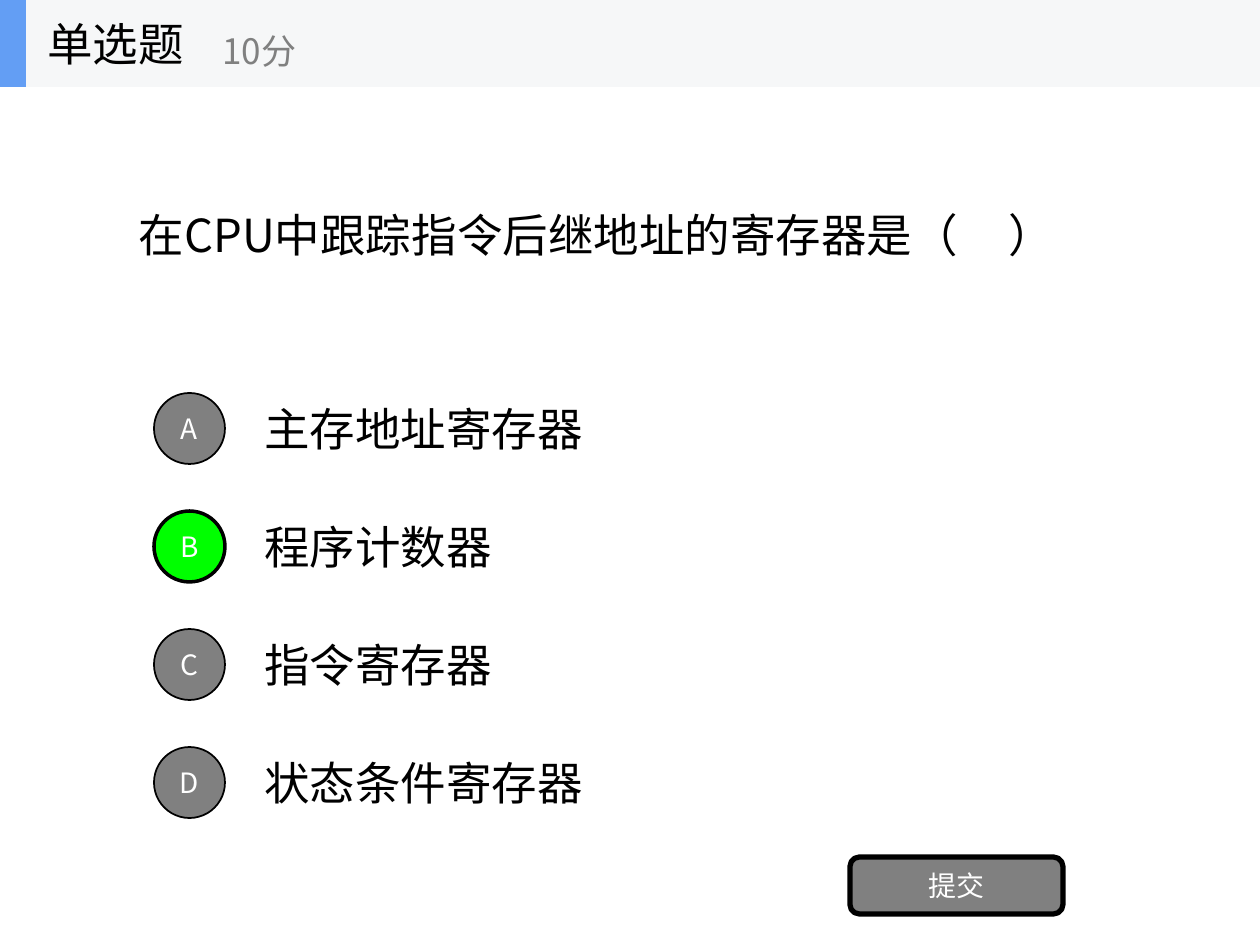
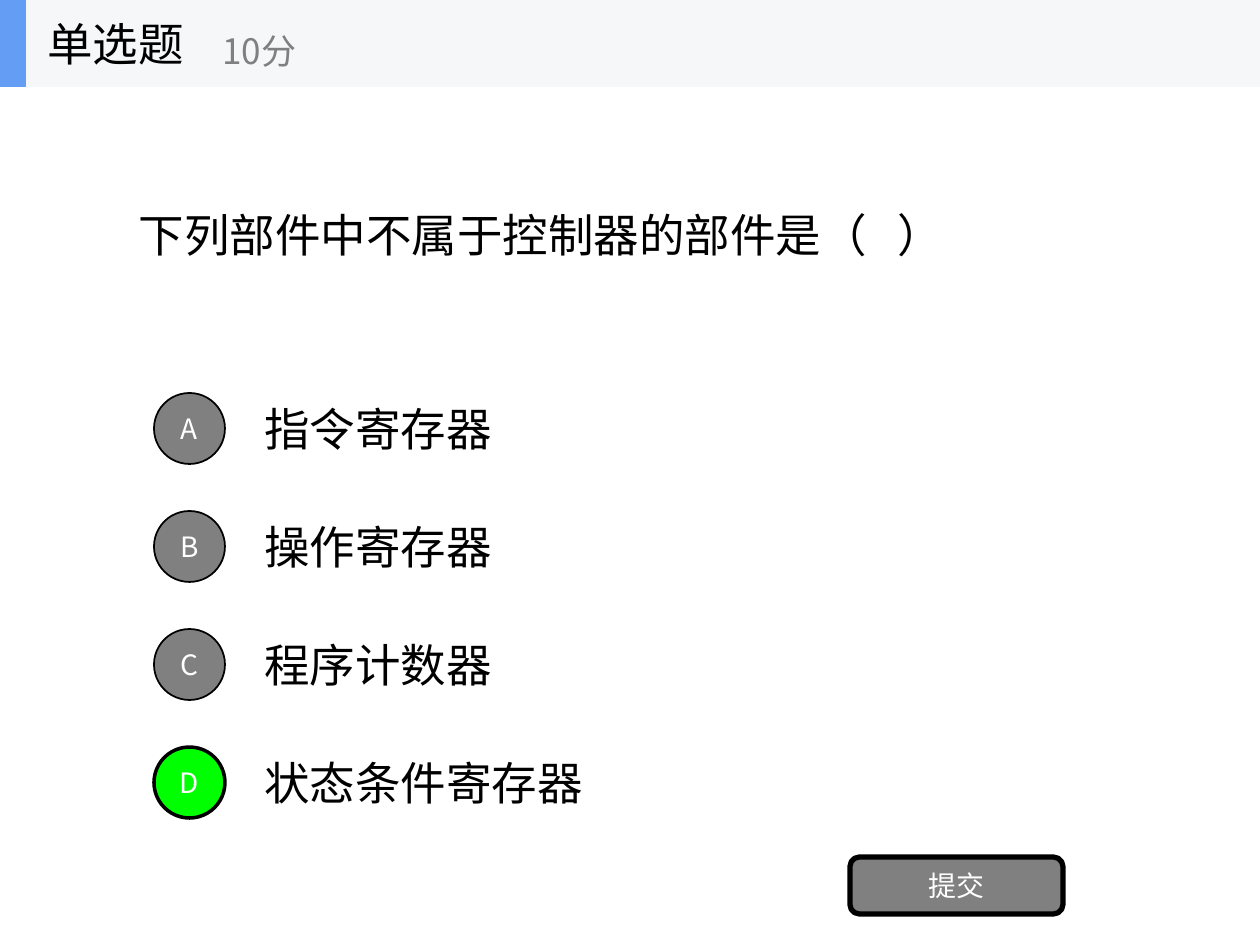
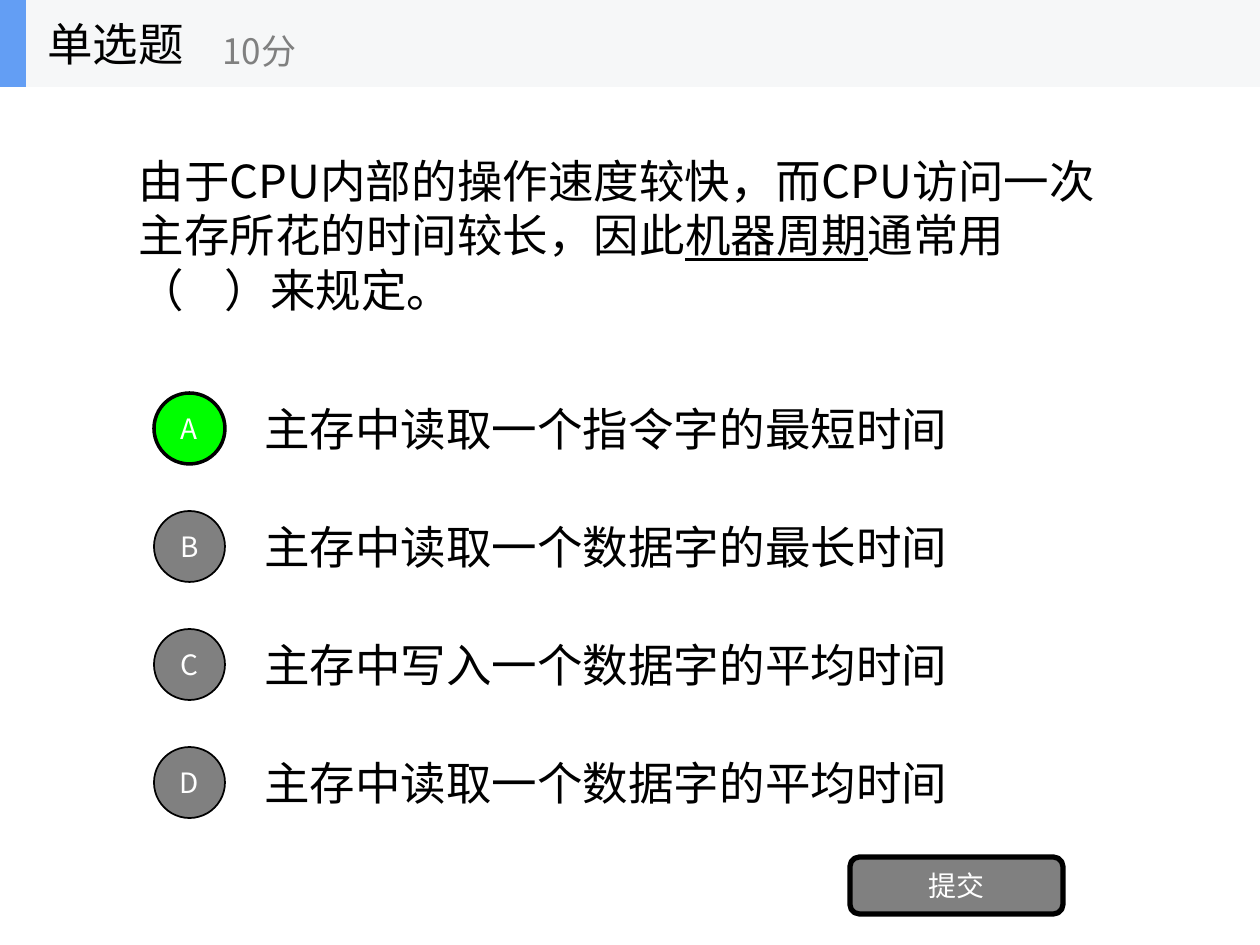
import pptx
import pptx.util
import pptx.dml.color
import pptx.enum.shapes
import pptx.enum.text
import pptx.oxml.ns
import lxml.etree

# Content: question runs as (text, underlined), choices, right letter
KIND, SCORE, SEND = "单选题", "10分", "提交"
QUIZ = [
    {"ask": [("在CPU中跟踪指令后继地址的寄存器是（     ）", False)],
     "picks": ["主存地址寄存器", "程序计数器", "指令寄存器", "状态条件寄存器"],
     "right": "B"},
    {"ask": [("下列部件中不属于控制器的部件是（   ）", False)],
     "picks": ["指令寄存器", "操作寄存器", "程序计数器", "状态条件寄存器"],
     "right": "D"},
    {"ask": [("由于CPU内部的操作速度较快，而CPU访问一次主存所花的时间较长，因此", False),
             ("机器周期", True),
             ("通常用（    ）来规定。", False)],
     "picks": ["主存中读取一个指令字的最短时间", "主存中读取一个数据字的最长时间",
               "主存中写入一个数据字的平均时间", "主存中读取一个数据字的平均时间"],
     "right": "A"},
]

THEME = {
    "font": "Noto Sans CJK SC",
    "ink": "000000", "white": "FFFFFF", "gray": "808080",
    "right": "00FF00", "band": "F6F7F8", "mark": "639EF4",
    "main": 26, "note": 20, "key": 16,
}

# Layout in px, 126 to the inch
WIDE, HIGH = 1260, 945
BAND = 87
ASK = (126, BAND, 1008, 295)
ROW, STEP = 384, 118
PICK_X, PICK_W, PICK_H = 252, 882, 88
KEY_X, KEY_D = 154, 71
BUTTON = (850, 857, 213, 57)

SHAPE = pptx.enum.shapes.MSO_SHAPE
ALIGN = pptx.enum.text.PP_ALIGN


def px(n):
    return round(n * 914400 / 126)


def tint(name):
    return pptx.dml.color.RGBColor.from_string(THEME[name])


def write(shape, runs, size, color, align=ALIGN.LEFT, wrap=True):
    frame = shape.text_frame
    frame.word_wrap = wrap
    frame.auto_size = pptx.enum.text.MSO_AUTO_SIZE.NONE
    frame.vertical_anchor = pptx.enum.text.MSO_ANCHOR.MIDDLE
    para = frame.paragraphs[0]
    para.alignment = align
    font = para.font
    font.size = pptx.util.Pt(THEME[size])
    font.color.rgb = tint(color)
    font.name = THEME["font"]
    # East Asian glyphs take their own typeface entry
    qn = pptx.oxml.ns.qn
    props = para._p.find(".//" + qn("a:defRPr"))
    lxml.etree.SubElement(props, qn("a:ea"), typeface=THEME["font"])
    for text, under in runs:
        run = para.add_run()
        run.text = text
        if under:
            run.font.underline = True


def label(shapes, box, text, size, color):
    shape = shapes.add_textbox(*map(px, box))
    write(shape, [(text, False)], size, color)


def block(shapes, kind, box, fill, line=0, text=None):
    shape = shapes.add_shape(kind, *map(px, box))
    shape.shadow.inherit = False
    shape.fill.solid()
    shape.fill.fore_color.rgb = tint(fill)
    if line:
        shape.line.color.rgb = tint("ink")
        shape.line.width = pptx.util.Pt(line)
    else:
        shape.line.fill.background()
    if text:
        write(shape, [(text, False)], "key", "white", ALIGN.CENTER, False)


def header(slide):
    shapes = slide.shapes.add_group_shape().shapes
    block(shapes, SHAPE.RECTANGLE, (0, 0, WIDE, BAND), "band")
    block(shapes, SHAPE.RECTANGLE, (0, 0, 26, BAND), "mark")
    label(shapes, (35, 0, 262, BAND), KIND, "main", "ink")
    label(shapes, (210, 15, 315, 71), SCORE, "note", "gray")


def build(deck, quiz):
    slide = deck.slides.add_slide(deck.slide_layouts[5])
    shapes = slide.shapes

    # Question
    title = shapes.title
    title.left, title.top, title.width, title.height = map(px, ASK)
    write(title, quiz["ask"], "main", "ink")

    # Choices, each with its round key
    for i, (key, pick) in enumerate(zip("ABCD", quiz["picks"])):
        top = ROW + i * STEP
        label(shapes, (PICK_X, top, PICK_W, PICK_H), pick, "main", "ink")
        hit = key == quiz["right"]
        ring = (KEY_X, top + (PICK_H - KEY_D) // 2 + 1, KEY_D, KEY_D)
        block(shapes, SHAPE.OVAL, ring, "right" if hit else "gray",
              2 if hit else 1, key)

    # Button and header
    block(shapes, SHAPE.ROUNDED_RECTANGLE, BUTTON, "gray", 3, SEND)
    header(slide)


def main():
    deck = pptx.Presentation()
    deck.slide_width, deck.slide_height = px(WIDE), px(HIGH)
    for quiz in QUIZ:
        build(deck, quiz)
    deck.save("out.pptx")


if __name__ == "__main__":
    main()
